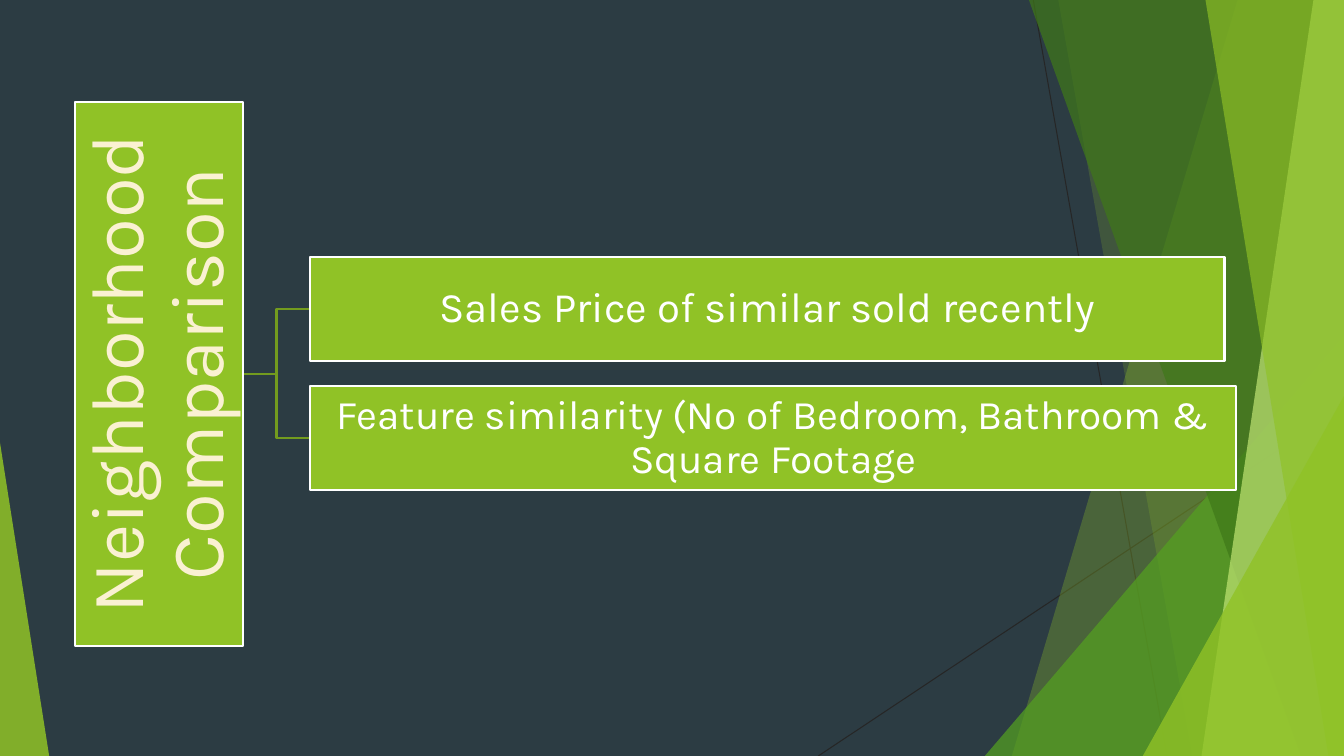
import pptx
import pptx.util
import pptx.dml.color
import pptx.enum.shapes
import pptx.enum.text
from lxml import etree

Cm, Pt = pptx.util.Cm, pptx.util.Pt
SHAPE = pptx.enum.shapes.MSO_SHAPE

# Content
ROOT = ("Neighborhood Comparison", 53, "FAF1D2")
BRANCHES = [  # text, size, box width
    ("Sales Price of similar sold recently", 30, 23.04),
    ("Feature similarity (No of Bedroom, Bathroom & Square Footage", 29, 23.34),
]
FONT, GREEN, WHITE, BRACKET = "Karla", "90C226", "FFFFFF", "739B1E"

# Decoration, lengths in cm
W, H = 33.87, 19.05
RAYS = [(26.04, 0, 29.41, H), (W, 10.24, 20.62, H)]
FACETS = [  # kind, geometry, colour, opacity in percent
    ("band", (31.19, 25.5), GREEN, 30),  # left edge at top and at bottom
    ("band", (26.67, 30.05), GREEN, 20),
    ("triangle", (24.82, 8.46, W, 1), "54A021", 72),  # left, top, right, apex
    ("band", (25.93, 32.79), "3F7819", 70),
    ("band", (33.1, 30.28), "C0E474", 70),
    ("band", (30.38, 33.48), GREEN, 65),
    ("triangle", (28.8, 9.98, W, 1), GREEN, 80),
    ("triangle", (0, 11.15, 1.24, 0), GREEN, 85),
]

# Diagram layout, lengths in cm
ROOT_X, ROOT_Y, ROOT_LENGTH, ROOT_THICK = 4.01, 9.42, 13.72, 4.22
BRANCH_LEFT, BRANCH_H, BRANCH_STEP = 7.82, 2.62, 3.25


def rgb(code):
    return pptx.dml.color.RGBColor.from_string(code)


def paint(sp, fill=None, opacity=100, line=None):
    sp.shadow.inherit = False
    if fill:
        sp.fill.solid()
        sp.fill.fore_color.rgb = rgb(fill)
        if opacity < 100:
            clr = sp.fill._xPr.find(".//" + pptx.oxml.ns.qn("a:srgbClr"))
            etree.SubElement(clr, pptx.oxml.ns.qn("a:alpha"), val=str(opacity * 1000))
    else:
        sp.fill.background()
    if line:
        sp.line.color.rgb = rgb(line)
        sp.line.width = Pt(1.5)
    else:
        sp.line.fill.background()


def freeform(s, points, close):
    pts = [(Cm(x), Cm(y)) for x, y in points]
    fb = s.shapes.build_freeform(*pts[0])
    fb.add_line_segments(pts[1:], close=close)
    return fb.convert_to_shape()


def add_box(s, x, y, w, h, text, size, color, inset, rotation=0):
    sp = s.shapes.add_shape(SHAPE.RECTANGLE, Cm(x), Cm(y), Cm(w), Cm(h))
    sp.rotation = rotation
    paint(sp, GREEN, line=WHITE)
    tf = sp.text_frame
    tf.word_wrap = True
    tf.vertical_anchor = pptx.enum.text.MSO_ANCHOR.MIDDLE
    tf.margin_left = tf.margin_right = tf.margin_top = tf.margin_bottom = Cm(inset)
    tf.text = text
    p = tf.paragraphs[0]
    p.alignment = pptx.enum.text.PP_ALIGN.CENTER
    p.line_spacing = 0.9
    r = p.runs[0]
    r.font.name, r.font.size = FONT, Pt(size)
    r.font.color.rgb = rgb(color)


def add_decoration(s):
    for ray in RAYS:
        cn = s.shapes.add_connector(
            pptx.enum.shapes.MSO_CONNECTOR.STRAIGHT, *[Cm(v) for v in ray])
        cn.line.color.rgb = rgb("262626")
        cn.line.width = Pt(0.75)
        etree.SubElement(cn._element.spPr, pptx.oxml.ns.qn("a:effectLst"))
    for kind, geometry, color, opacity in FACETS:
        if kind == "band":
            top_x, bottom_x = geometry
            sp = freeform(s, [(top_x, 0), (W, 0), (W, H), (bottom_x, H)], True)
        else:
            left, top, right, apex = geometry
            sp = s.shapes.add_shape(SHAPE.ISOSCELES_TRIANGLE, Cm(left), Cm(top),
                                    Cm(right - left), Cm(H - top))
            sp.adjustments[0] = apex
        paint(sp, color, opacity)


def add_diagram(s):
    # Brackets from the root to each branch
    root_right = ROOT_X + ROOT_THICK / 2
    mid_x = (root_right + BRANCH_LEFT) / 2
    first_y = ROOT_Y - BRANCH_STEP * (len(BRANCHES) - 1) / 2
    centers = [first_y + i * BRANCH_STEP for i in range(len(BRANCHES))]
    for y in centers:
        paint(freeform(s, [(root_right, ROOT_Y), (mid_x, ROOT_Y),
                           (mid_x, y), (BRANCH_LEFT, y)], False), line=BRACKET)

    # Boxes
    add_box(s, ROOT_X - ROOT_LENGTH / 2, ROOT_Y - ROOT_THICK / 2,
            ROOT_LENGTH, ROOT_THICK, *ROOT, inset=0.1, rotation=270)
    for y, (text, size, width) in zip(centers, BRANCHES):
        add_box(s, BRANCH_LEFT, y - BRANCH_H / 2, width, BRANCH_H,
                text, size, WHITE, inset=0.05)


def main():
    prs = pptx.Presentation()
    prs.slide_width, prs.slide_height = Cm(W), Cm(H)
    s = prs.slides.add_slide(prs.slide_layouts[6])
    s.background.fill.solid()
    s.background.fill.fore_color.rgb = rgb("2C3C43")
    add_decoration(s)
    add_diagram(s)
    prs.save("out.pptx")


if __name__ == "__main__":
    main()
